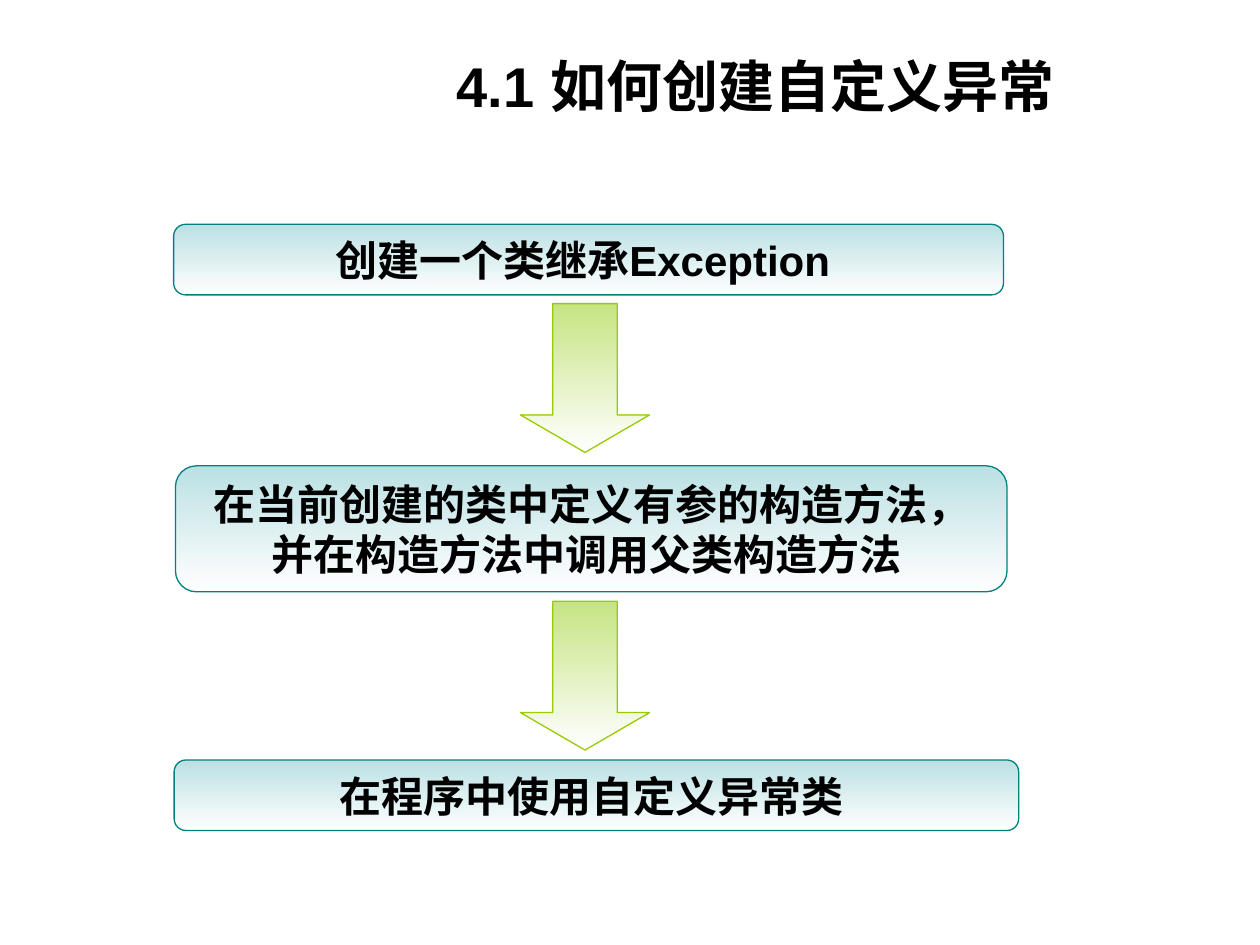
from dataclasses import dataclass
from pptx import Presentation
from pptx.dml.color import RGBColor
from pptx.enum.shapes import MSO_SHAPE as Preset
from pptx.enum.text import MSO_ANCHOR as Anchor, PP_ALIGN as Align
from pptx.util import Pt


@dataclass(frozen=True)
class Theme:
    font: str = "Arial"
    title_size: int = 32
    step_size: int = 24
    ink: str = "000000"
    fade: str = "FFFFFF"
    step_fill: str = "BBE0E3"
    step_line: str = "008080"
    arrow_fill: str = "C6E482"
    arrow_line: str = "99CC00"


theme = Theme()


def write(shape, text, size, align):
    frame = shape.text_frame
    frame.word_wrap = True
    frame.vertical_anchor = Anchor.MIDDLE
    paragraph = frame.paragraphs[0]
    paragraph.text = text
    paragraph.alignment = align
    font = paragraph.font
    font.name, font.size, font.bold = theme.font, Pt(size), True
    font.color.rgb = RGBColor.from_string(theme.ink)


def add_faded(preset, box, top_color, line_color):
    shape = slide.shapes.add_shape(preset, *map(Pt, box))
    shape.shadow.inherit = False
    shape.fill.gradient()
    shape.fill.gradient_angle = 270
    for stop, color in zip(shape.fill.gradient_stops, (top_color, theme.fade)):
        stop.color.rgb = RGBColor.from_string(color)
    shape.line.color.rgb = RGBColor.from_string(line_color)
    shape.line.width = Pt(0.75)
    return shape


deck = Presentation()
deck.slide_width, deck.slide_height = Pt(720), Pt(540)
slide = deck.slides.add_slide(deck.slide_layouts[6])

title = slide.shapes.add_textbox(Pt(184.3), Pt(26), Pt(425.5), Pt(45.4))
write(title, "4.1 如何创建自定义异常", theme.title_size, Align.RIGHT)

steps = [
    ("创建一个类继承Exception ", (99.2, 128.2, 474.2, 40.3)),
    ("在当前创建的类中定义有参的构造方法，并在构造方法中调用父类构造方法 ", (100.3, 266.2, 475.2, 72)),
    ("在程序中使用自定义异常类 ", (99.5, 434.3, 482.6, 40.3)),
]
for text, box in steps:
    step = add_faded(Preset.FLOWCHART_ALTERNATE_PROCESS, box, theme.step_fill, theme.step_line)
    write(step, text, theme.step_size, Align.CENTER)

for arrow_top in (173.5, 343.6):
    arrow = add_faded(Preset.DOWN_ARROW, (297.4, arrow_top, 73.8, 85),
                      theme.arrow_fill, theme.arrow_line)
    arrow.adjustments[0] = 0.5
    arrow.adjustments[1] = 0.29

deck.save("out.pptx")
